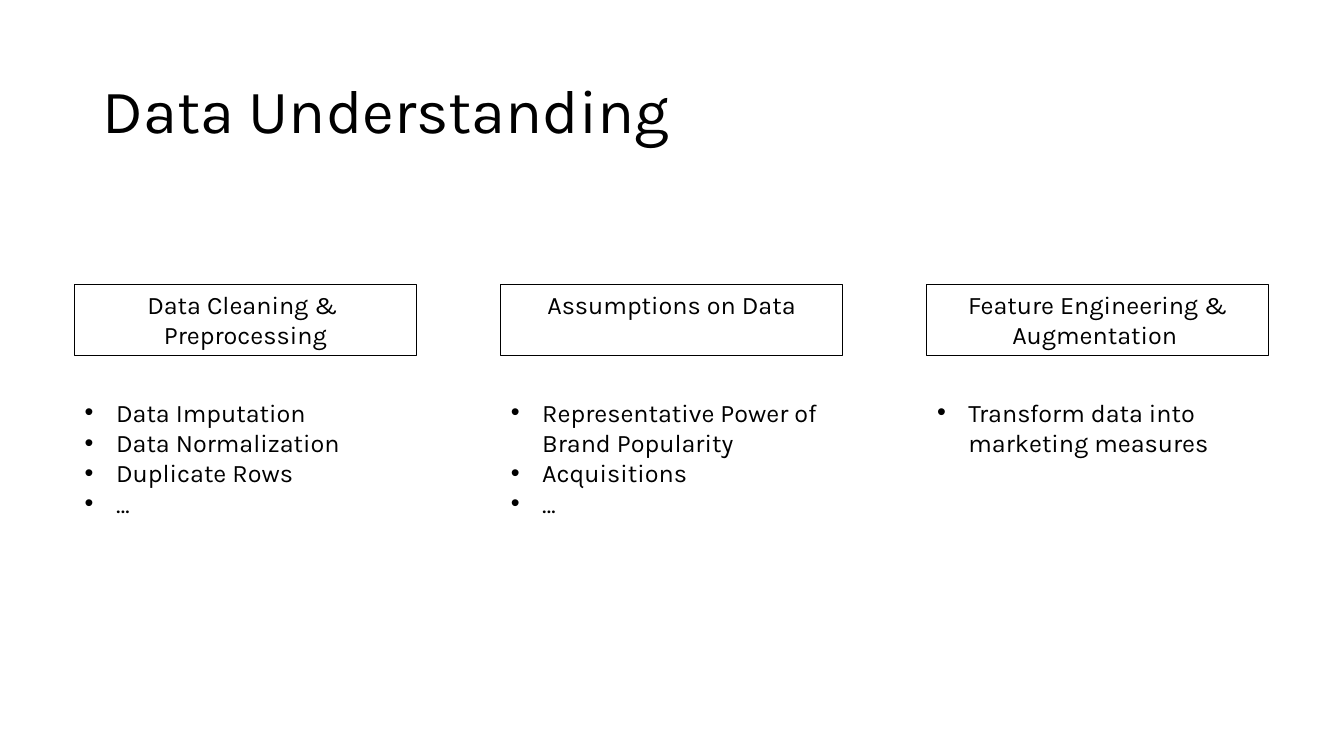
from lxml import etree
from pptx import Presentation
from pptx import util as u
from pptx.dml.color import RGBColor
from pptx.enum import shapes, text
from pptx.oxml.ns import qn


def paint(code):
    return RGBColor.from_string(code)


def apply(item, vals):
    for key, val in vals.items():
        setattr(item, key, val)


class Deck:
    ink = "000000"
    face = "Karla"

    def __init__(self, slide):
        self.slide = slide

    def place(self, shape, box):
        names = ("left", "top", "width", "height")
        apply(shape, dict(zip(names, map(u.Cm, box))))

    def fill(self, shape, lines, size, para, anchor=text.MSO_ANCHOR.TOP):
        frame = shape.text_frame
        frame.text = "\n".join(lines)
        apply(frame, {"word_wrap": True, "vertical_anchor": anchor,
                      "auto_size": text.MSO_AUTO_SIZE.NONE})
        for par in frame.paragraphs:
            apply(par, {"space_before": u.Pt(0), "line_spacing": 1.0, **para})
            for run in par.runs:
                apply(run.font, {"name": self.face, "size": u.Pt(size), "bold": False})
                run.font.color.rgb = paint(self.ink)
        return frame

    def title(self, words, box):
        shape = self.slide.shapes.title
        self.place(shape, box)
        self.fill(shape, [words], 44,
                  {"alignment": text.PP_ALIGN.LEFT, "line_spacing": 0.9},
                  text.MSO_ANCHOR.MIDDLE)

    def label(self, lines, box):
        shape = self.slide.shapes.add_shape(
            shapes.MSO_SHAPE.RECTANGLE, *map(u.Cm, box))
        shape.shadow.inherit = False
        shape.fill.background()
        shape.line.color.rgb = paint(self.ink)
        shape.line.width = u.Pt(0.75)
        self.fill(shape, lines, 18, {"alignment": text.PP_ALIGN.CENTER})

    def list(self, shape, lines, box):
        self.place(shape, box)
        frame = self.fill(shape, lines, 18, {"alignment": text.PP_ALIGN.LEFT})
        indent = u.Cm(0.79)
        for par in frame.paragraphs:
            props = par._p.get_or_add_pPr()
            props.set("marL", str(indent))
            props.set("indent", str(-indent))
            etree.SubElement(props, qn("a:buFont"), typeface="Arial")
            etree.SubElement(props, qn("a:buChar"), char="•")


def main():
    deck = Presentation()
    apply(deck, {"slide_width": u.Cm(33.87), "slide_height": u.Cm(19.05)})
    slide = deck.slides.add_slide(deck.slide_layouts.get_by_name("Comparison"))
    page = Deck(slide)
    page.title("Data Understanding", (2.33, 1.01, 29.21, 3.68))

    topics = [
        (["Data Cleaning & ", "Preprocessing"],
         ["Data Imputation", "Data Normalization", "Duplicate Rows", "…"], 3.33),
        (["Assumptions on Data"],
         ["Representative Power of Brand Popularity", "Acquisitions", "…"], 3.33),
        (["Feature Engineering &", "Augmentation "],
         ["Transform data into marketing measures"], 1.8),
    ]
    left, step, width = 1.88, 10.74, 8.61
    title, *bodies = slide.placeholders
    for col, (head, points, height) in enumerate(topics):
        x = left + col * step
        page.label(head, (x, 7.16, width, 1.8))
        page.list(bodies[col], points, (x, 9.88, width, height))
    for spare in bodies[len(topics):]:
        spare.element.getparent().remove(spare.element)
    deck.save("out.pptx")


if __name__ == "__main__":
    main()
